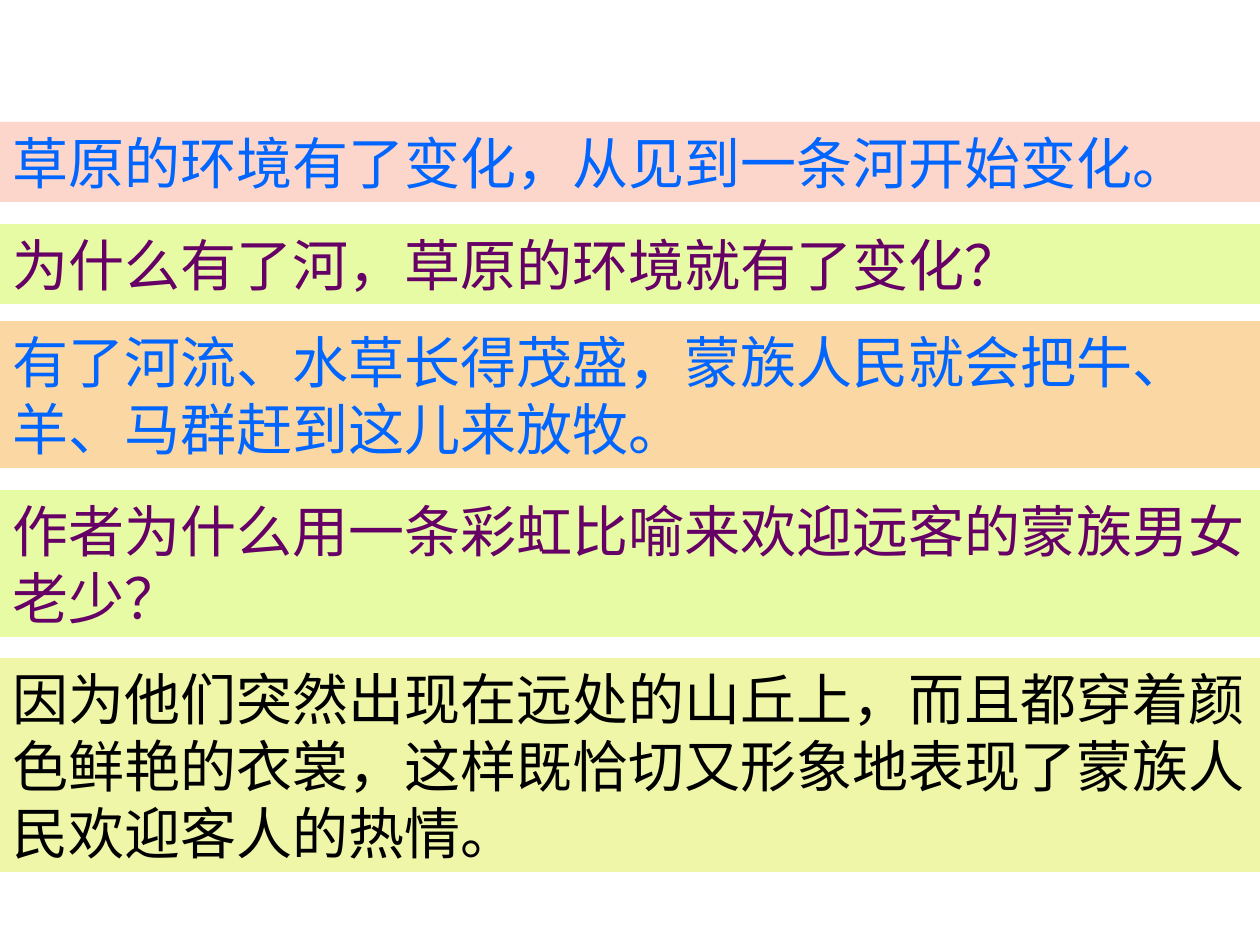
from dataclasses import dataclass

from pptx import Presentation
from pptx.dml.color import RGBColor
from pptx.enum.text import MSO_AUTO_SIZE
from pptx.oxml.ns import qn
from pptx.slide import Slide
from pptx.util import Emu, Pt
from lxml.etree import SubElement

PX_PER_INCH = 126
SLIDE_WIDTH, SLIDE_HEIGHT = 1260, 945
LINE_HEIGHT = 67
BAND_PADDING = 13  # top and bottom insets together


@dataclass(frozen=True)
class Theme:
    font: str = "Noto Sans CJK SC"
    size: int = 32
    question_text: str = "660066"
    answer_text: str = "0066FF"
    closing_text: str = "000000"
    question_fill: str = "E6FBA3"
    opening_fill: str = "FDD6CB"
    answer_fill: str = "FBD7A3"
    closing_fill: str = "EFF6A8"


@dataclass(frozen=True)
class Band:
    top: int
    lines: int
    fill: str
    color: str
    text: str


THEME = Theme()

BANDS = [
    Band(122, 1, THEME.opening_fill, THEME.answer_text,
         "草原的环境有了变化，从见到一条河开始变化。"),
    Band(224, 1, THEME.question_fill, THEME.question_text,
         "为什么有了河，草原的环境就有了变化？"),
    Band(321, 2, THEME.answer_fill, THEME.answer_text,
         "有了河流、水草长得茂盛，蒙族人民就会把牛、羊、马群赶到这儿来放牧。"),
    Band(490, 2, THEME.question_fill, THEME.question_text,
         "作者为什么用一条彩虹比喻来欢迎远客的蒙族男女老少？"),
    Band(658, 3, THEME.closing_fill, THEME.closing_text,
         "因为他们突然出现在远处的山丘上，而且都穿着颜色鲜艳的衣裳，"
         "这样既恰切又形象地表现了蒙族人民欢迎客人的热情。"),
]


def px(length: int) -> Emu:
    return Emu(round(length * 914400 / PX_PER_INCH))


def draw_band(slide: Slide, band: Band) -> None:
    """Draw one full-width coloured band with its sentence."""
    height = band.lines * LINE_HEIGHT + BAND_PADDING
    box = slide.shapes.add_textbox(0, px(band.top), px(SLIDE_WIDTH), px(height))
    box.fill.solid()
    box.fill.fore_color.rgb = RGBColor.from_string(band.fill)

    frame = box.text_frame
    frame.word_wrap = True
    frame.auto_size = MSO_AUTO_SIZE.SHAPE_TO_FIT_TEXT
    sentence = frame.paragraphs[0]
    sentence.text = band.text
    sentence.font.size = Pt(THEME.size)
    sentence.font.name = THEME.font
    sentence.font.color.rgb = RGBColor.from_string(band.color)

    # Keep punctuation inside the margin; Chinese takes the East Asian typeface
    properties = sentence._p.pPr
    properties.set("hangingPunct", "0")
    defaults = properties.find(qn("a:defRPr"))
    SubElement(defaults, qn("a:ea")).set("typeface", THEME.font)


def main() -> None:
    presentation = Presentation()
    presentation.slide_width = px(SLIDE_WIDTH)
    presentation.slide_height = px(SLIDE_HEIGHT)
    slide = presentation.slides.add_slide(presentation.slide_layouts[6])

    # Questions and answers, top to bottom
    for band in BANDS:
        draw_band(slide, band)

    presentation.save("out.pptx")


if __name__ == "__main__":
    main()
